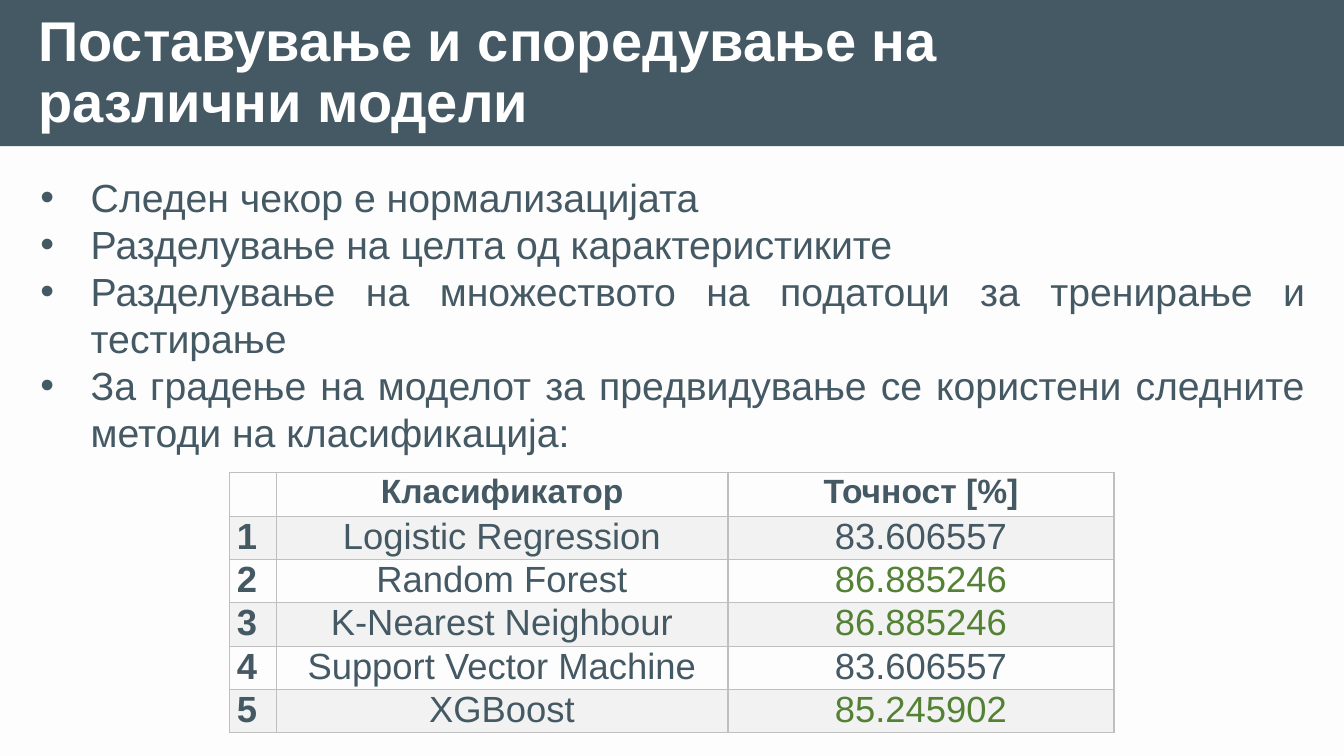
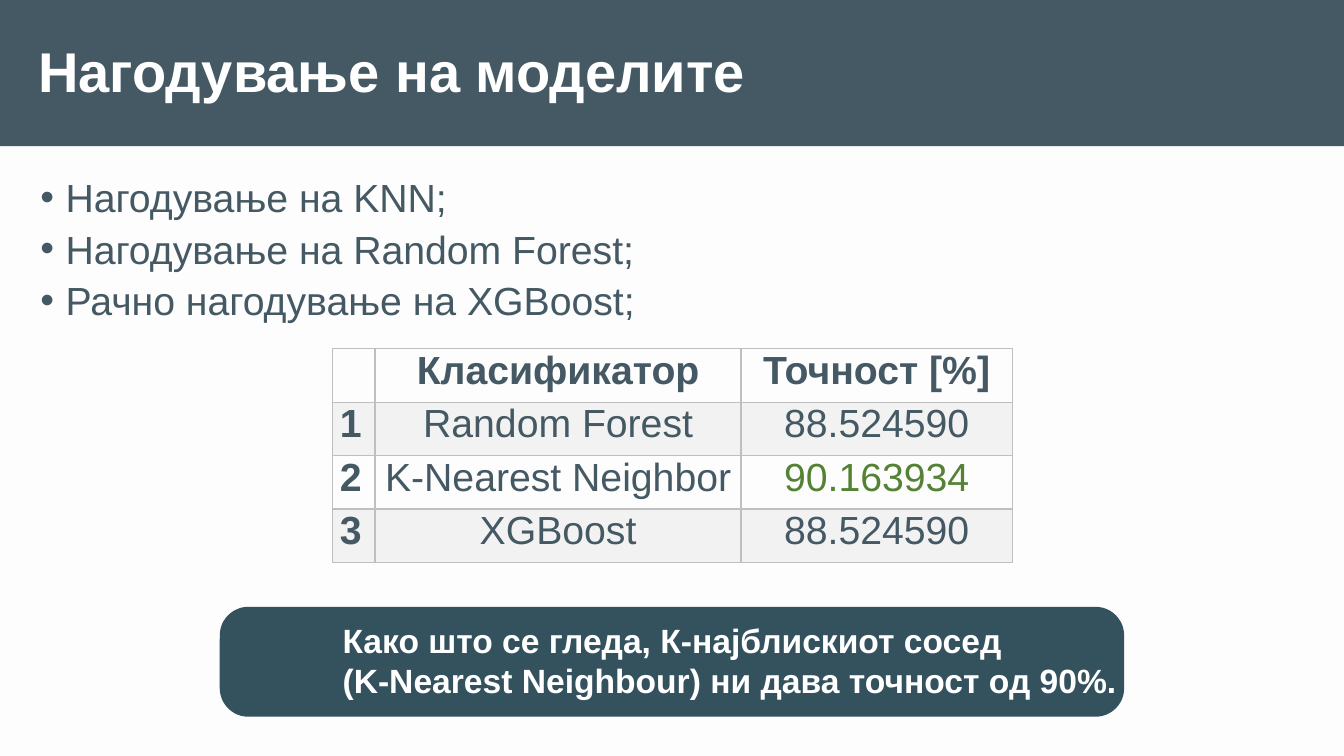
from lxml.etree import SubElement
from pptx import Presentation
from pptx.dml.color import RGBColor
from pptx.enum.shapes import MSO_SHAPE
from pptx.enum.text import MSO_ANCHOR, MSO_AUTO_SIZE, PP_ALIGN
from pptx.oxml import parse_xml
from pptx.oxml.ns import nsdecls, qn
from pptx.util import Inches, Pt

COLORS = {
    "back": "FDFDFD",
    "slate": "445963",
    "deep": "34515E",
    "white": "FFFFFF",
    "green": "548235",
    "stripe": "F2F2F2",
    "rule": "BFBFBF",
}
HEADS = ["", "Класификатор", "Точност [%]"]

# Each slide: title, list and table; good holds the values shown in green
SLIDES = [
    {
        "title": "Поставување и споредување на различни модели",
        "items": [
            "Следен чекор е нормализацијата",
            "Разделување на целта од карактеристиките",
            "Разделување на множеството на податоци за тренирање и тестирање",
            "За градење на моделот за предвидување се користени следните "
            "методи на класификација:",
        ],
        "box": (0.3, 1.67, 12.74, 2.93),
        "align": PP_ALIGN.JUSTIFY, "indent": 0.5, "line": 1.0, "gap": 0,
        "rows": [
            ("Logistic Regression", "83.606557"),
            ("Random Forest", "86.885246"),
            ("K-Nearest Neighbour", "86.885246"),
            ("Support Vector Machine", "83.606557"),
            ("XGBoost", "85.245902"),
        ],
        "good": {"86.885246", "85.245902"},
        "spot": (2.28, 4.69), "cols": (0.46, 4.48, 3.83), "high": 0.43,
        "head": 24, "size": 26,
    },
    {
        "title": "Нагодување на моделите",
        "items": [
            "Нагодување на KNN;",
            "Нагодување на Random Forest;",
            "Рачно нагодување на XGBoost;",
        ],
        "box": (0.3, 1.76, 12.75, 1.57),
        "align": PP_ALIGN.LEFT, "indent": 0.25, "line": 0.8, "gap": 10,
        "rows": [
            ("Random Forest", "88.524590"),
            ("K-Nearest Neighbor", "90.163934"),
            ("XGBoost", "88.524590"),
        ],
        "good": {"90.163934"},
        "spot": (3.3, 3.46), "cols": (0.42, 3.63, 2.69), "high": 0.53,
        "head": 28, "size": 28,
    },
]


def style(para, size, color, bold=False):
    para.font.name = "Arial"
    para.font.size = Pt(size)
    para.font.bold = bold
    para.font.color.rgb = RGBColor.from_string(COLORS[color])


def paint(shape, color):
    shape.fill.solid()
    shape.fill.fore_color.rgb = RGBColor.from_string(COLORS[color])
    shape.line.fill.background()
    shape.shadow.inherit = False


prs = Presentation()
prs.slide_width, prs.slide_height = Inches(13.33), Inches(7.5)
back = prs.slide_master.background.fill
back.solid()
back.fore_color.rgb = RGBColor.from_string(COLORS["back"])

# Shared layout: title place and the band behind it
layout = prs.slide_layouts[1]
name = layout.placeholders[0]
name.left, name.top = Inches(0.28), Inches(0.02)
name.width, name.height = Inches(11.22), Inches(1.43)
slides = [prs.slides.add_slide(layout) for _ in SLIDES]
band = slides[0].shapes.add_shape(
    MSO_SHAPE.RECTANGLE, 0, 0, prs.slide_width, Inches(1.45))
paint(band, "slate")
layout.shapes.element.insert(2, band.element)

for slide, data in zip(slides, SLIDES):
    # Title
    frame = slide.shapes.title.text_frame
    frame.text = data["title"]
    frame.vertical_anchor = MSO_ANCHOR.MIDDLE
    frame.auto_size = MSO_AUTO_SIZE.NONE
    para = frame.paragraphs[0]
    para.alignment = PP_ALIGN.LEFT
    para.line_spacing = 0.9
    style(para, 40, "white", True)

    # Bulleted list
    body = slide.placeholders[1]
    body.left, body.top, body.width, body.height = map(Inches, data["box"])
    frame = body.text_frame
    frame.text = "\n".join(data["items"])
    frame.auto_size = MSO_AUTO_SIZE.NONE
    for i, para in enumerate(frame.paragraphs):
        props = para._p.get_or_add_pPr()
        props.set("marL", str(Inches(data["indent"])))
        props.set("indent", str(-Inches(data["indent"])))
        SubElement(props, qn("a:buFont")).set("typeface", "Arial")
        SubElement(props, qn("a:buChar")).set("char", "•")
        para.alignment = data["align"]
        para.line_spacing = data["line"]
        para.space_before = Pt(data["gap"] if i else 0)
        style(para, 28, "slate")

    # Table of results
    rows = [HEADS] + [(str(i), *row) for i, row in enumerate(data["rows"], 1)]
    left, top = map(Inches, data["spot"])
    table = slide.shapes.add_table(
        len(rows), len(HEADS), left, top, Inches(sum(data["cols"])),
        Inches(data["high"] * len(rows))).table
    table.first_row = table.horz_banding = False
    for col, width in zip(table.columns, data["cols"]):
        col.width = Inches(width)
    for r, row in enumerate(rows):
        table.rows[r].height = Inches(data["high"])
        for c, text in enumerate(row):
            cell = table.cell(r, c)
            cell.margin_left = cell.margin_right = Inches(0.07)
            cell.margin_top = cell.margin_bottom = 0
            if r % 2:
                cell.fill.solid()
                cell.fill.fore_color.rgb = RGBColor.from_string(COLORS["stripe"])
            else:
                cell.fill.background()
            props = cell._tc.get_or_add_tcPr()
            for i, side in enumerate("LRTB"):
                props.insert(i, parse_xml(
                    f'<a:ln{side} {nsdecls("a")} w="12700"><a:solidFill>'
                    f'<a:srgbClr val="{COLORS["rule"]}"/></a:solidFill></a:ln{side}>'))
            cell.text = text
            para = cell.text_frame.paragraphs[0]
            para.alignment = PP_ALIGN.CENTER if c else PP_ALIGN.JUSTIFY
            para.space_after = Pt(6)
            style(para, data["size"] if r else data["head"],
                  "green" if text in data["good"] else "slate",
                  r == 0 or c == 0)

# Closing remark on the second slide
group = slides[1].shapes.add_group_shape()
panel = group.shapes.add_shape(
    MSO_SHAPE.ROUNDED_RECTANGLE, Inches(2.18), Inches(6.02), Inches(8.97), Inches(1.09))
panel.adjustments[0] = 0.26
paint(panel, "deep")
note = group.shapes.add_textbox(
    Inches(3.3), Inches(6.09), Inches(7.96), Inches(0.91))
frame = note.text_frame
frame.word_wrap = True
frame.vertical_anchor = MSO_ANCHOR.MIDDLE
frame.text = ("Како што се гледа, К-најблискиот сосед\n"
              "(K-Nearest Neighbour) ни дава точност од 90%.")
for para in frame.paragraphs:
    para.alignment = PP_ALIGN.JUSTIFY
    style(para, 24, "white", True)

prs.save("out.pptx")
